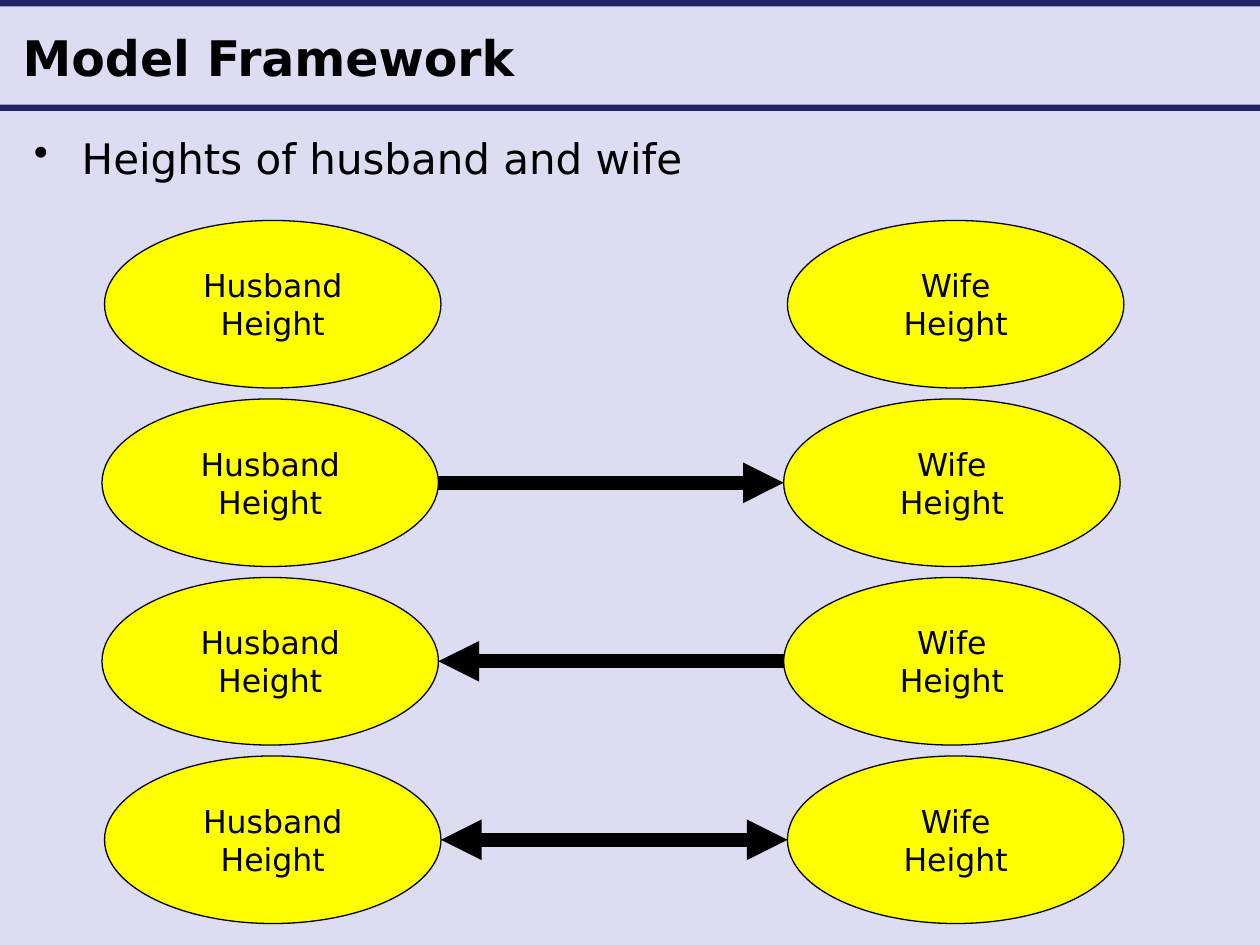
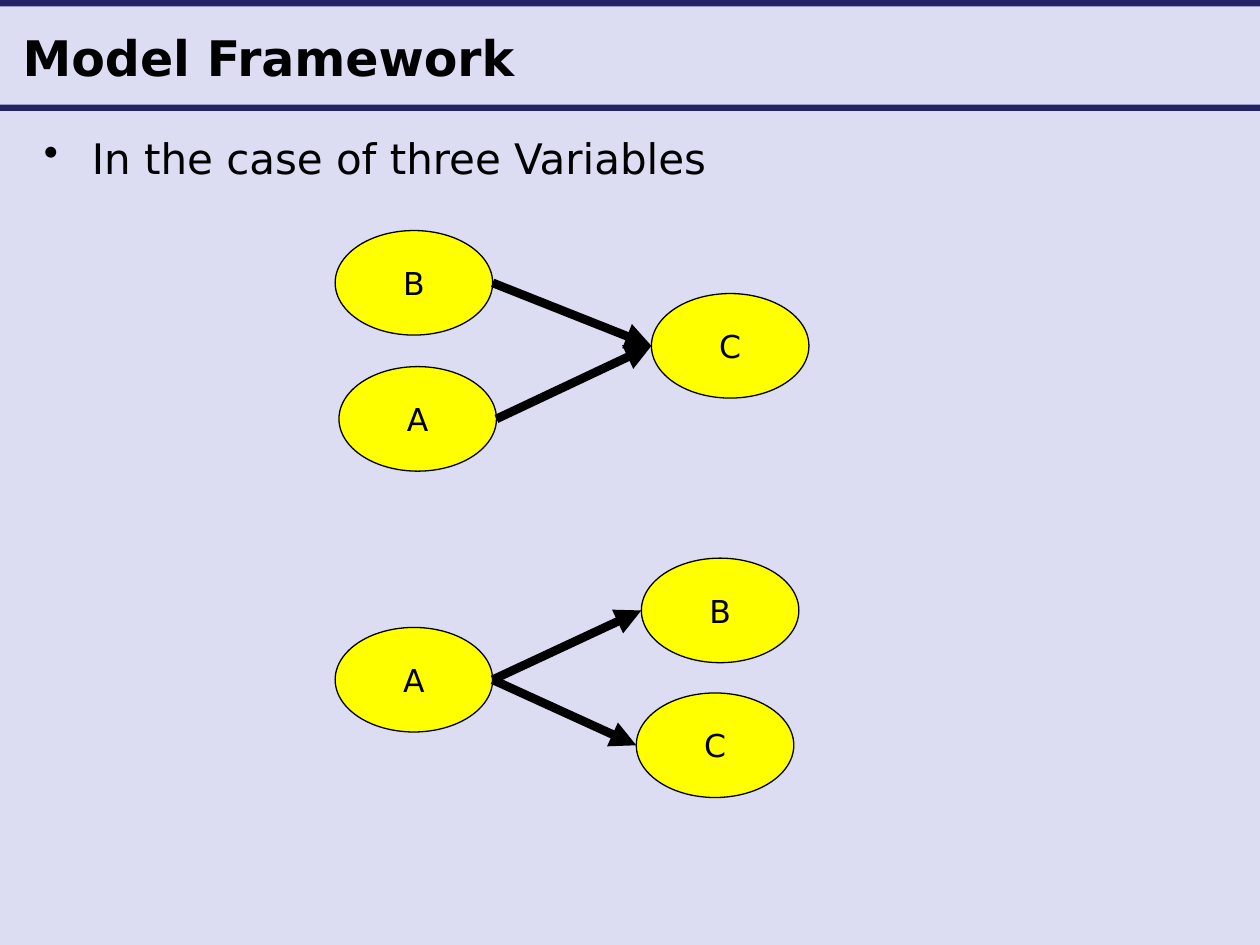
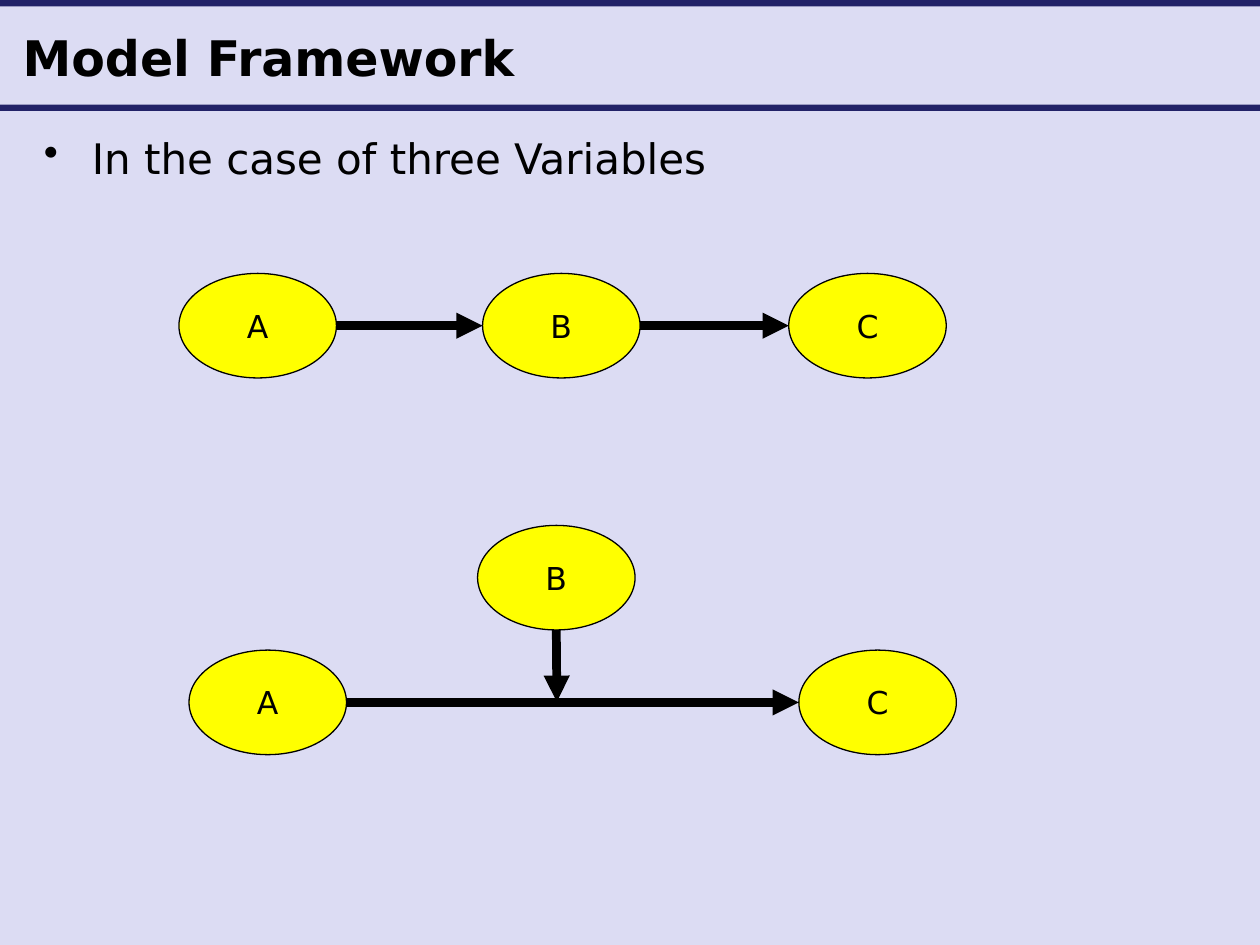
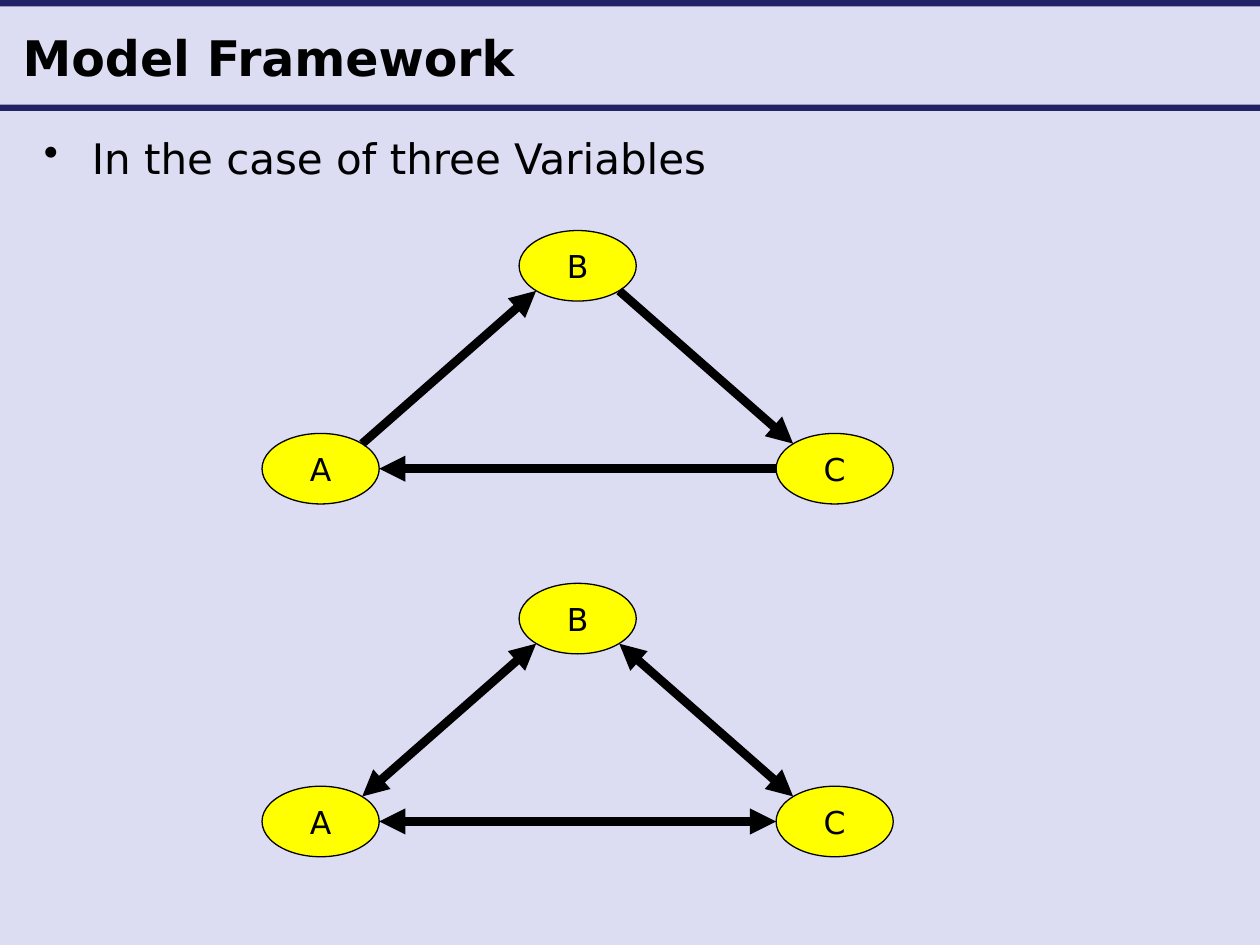
from lxml.etree import SubElement
from pptx import Presentation
from pptx.dml.color import RGBColor
from pptx.enum.shapes import MSO_CONNECTOR as Link, MSO_SHAPE as Form
from pptx.enum.text import MSO_ANCHOR as Anchor, MSO_AUTO_SIZE as Fit, PP_ALIGN as Align
from pptx.oxml.ns import qn
from pptx.util import Inches, Pt

FONT = "DejaVu Sans"
BACK, NAVY, YELLOW, BLACK = "DCDCF3", "222267", "FFFF00", "000000"
TITLE = "Model Framework"
BANDS = [0.83, 0]
THREE = "In the case of three Variables"

# Unit offsets from an ellipse's centre to its joining points
SITES = {"n": (0, -1), "e": (1, 0), "s": (0, 1), "w": (-1, 0),
         "ne": (0.71, -0.71), "se": (0.71, 0.71),
         "sw": (-0.71, 0.71), "nw": (-0.71, -0.71)}

MAN, WIFE = "Husband\u0020Height", "Wife\nHeight"
MAN, WIFE = "Husband Height", "Wife\nHeight"


def pair(row, left, right, heads):
    """One husband-and-wife row; heads is empty when nothing joins them."""
    top = 1.75 + row * 4.25 / 3
    links = [((MAN, "e"), heads, (WIFE, "w"))] if heads else []
    return {MAN: (left, top), WIFE: (right, top)}, links


def ring(top, heads, base):
    """A triangle of A, B and C with B at the top."""
    nodes = {"A": (2.08, top + 1.61), "B": (4.12, top), "C": (6.16, top + 1.61)}
    return nodes, [(("A", "ne"), heads, ("B", "sw")),
                   (("B", "se"), heads, ("C", "nw")),
                   (("C", "w"), base, ("A", "e"))]


SLIDES = [
    {"text": "Heights of husband and wife", "left": 0.17, "size": (2.67, 1.33),
     "width": 7.75, "group": True,
     "parts": [pair(0, 0.83, 6.25, ""), pair(1, 0.81, 6.22, ">"),
               pair(2, 0.81, 6.22, "<"), pair(3, 0.83, 6.25, "<>")]},
    {"text": THREE, "left": 0.25, "size": (1.25, 0.83), "width": 5, "group": False,
     "parts": [
         ({"A": (2.69, 2.91), "B": (2.66, 1.83), "C": (5.17, 2.33)},
          [(("A", "e"), ">", ("C", "w")), (("B", "e"), ">", ("C", "w"))]),
         ({"A": (2.66, 4.98), "B": (5.09, 4.43), "C": (5.05, 5.5)},
          [(("A", "e"), ">", ("C", "w")), (("A", "e"), ">", ("B", "w"))])]},
    {"text": THREE, "left": 0.25, "size": (1.25, 0.83), "width": 5, "group": False,
     "parts": [
         ({"A": (1.42, 2.17), "B": (3.83, 2.17), "C": (6.26, 2.17)},
          [(("A", "e"), ">", ("B", "w")), (("B", "e"), ">", ("C", "w"))]),
         ({"A": (1.5, 5.16), "B": (3.79, 4.17), "C": (6.34, 5.16)},
          [(("A", "e"), ">", ("C", "w")), (("B", "s"), ">", (4.42, 5.57))])]},
    {"text": THREE, "left": 0.25, "size": (0.93, 0.56), "width": 5, "group": True,
     "parts": [ring(1.83, ">", ">"), ring(4.63, "<>", "<>")]},
]


def color(text):
    return RGBColor.from_string(text)


def box(*sizes):
    return [Inches(size) for size in sizes]


def paint(fill, tone):
    fill.solid()
    fill.fore_color.rgb = color(tone)


def style(frame, size, align, bold=False):
    frame.word_wrap = True
    frame.auto_size = Fit.NONE
    for para in frame.paragraphs:
        para.alignment = align
        for run in para.runs:
            font = run.font
            font.name, font.size, font.bold = FONT, Pt(size), bold
            font.color.rgb = color(BLACK)


def add_bands(slide, layout):
    """Draw the bands, then move them to the layout, behind its placeholders."""
    for num, top in enumerate(BANDS):
        band = slide.shapes.add_shape(Form.RECTANGLE, *box(0, top, 10, 0.05))
        band.shadow.inherit = False
        paint(band.fill, NAVY)
        band.line.fill.background()
        band.element.nvSpPr.cNvPr.set("id", str(20 + num))
        layout.shapes.element.insert(2 + num, band.element)


def add_title(slide):
    title = slide.shapes.title
    title.left, title.top, title.width, title.height = box(0.08, 0.08, 9.58, 0.75)
    frame = title.text_frame
    frame.text = TITLE
    frame.vertical_anchor = Anchor.MIDDLE
    style(frame, 28, Align.LEFT, True)


def add_bullet(slide, text, left):
    frame = slide.shapes.add_textbox(*box(left, 1, 9.58, 0.66)).text_frame
    frame.text = text
    frame.margin_right = 0
    style(frame, 24, Align.LEFT)
    para = frame.paragraphs[0]
    para.space_before = Pt(5)
    props = para._p.get_or_add_pPr()
    props.set("marL", str(Inches(0.38)))
    props.set("indent", str(-Inches(0.38)))
    SubElement(props, qn("a:buChar")).set("char", "•")


def add_node(shapes, text, spot, size):
    node = shapes.add_shape(Form.OVAL, *box(*spot, *size))
    node.shadow.inherit = False
    paint(node.fill, YELLOW)
    node.line.color.rgb = color(BLACK)
    node.line.width = Pt(0.75)
    frame = node.text_frame
    frame.text = text
    frame.vertical_anchor = Anchor.MIDDLE
    style(frame, 18, Align.CENTER)


def find(end, nodes, size):
    """Turn (node, site) into a point; a plain point stays as it is."""
    name, site = end
    if name not in nodes:
        return end
    return [at + span / 2 * (1 + off)
            for at, span, off in zip(nodes[name], size, SITES[site])]


def add_arrow(shapes, start, stop, heads, width):
    arrow = shapes.add_connector(Link.STRAIGHT, *box(*start, *stop))
    arrow.line.color.rgb = color(BLACK)
    arrow.line.width = Pt(width)
    props = arrow.element.spPr
    for sign, tag in (("<", "a:headEnd"), (">", "a:tailEnd")):
        if sign in heads:
            SubElement(props.find(qn("a:ln")), qn(tag)).set("type", "triangle")
    SubElement(props, qn("a:effectLst"))


def add_part(slide, part, page):
    nodes, links = part
    size = page["size"]
    shapes = slide.shapes
    if page["group"]:
        shapes = shapes.add_group_shape().shapes
    for name, spot in nodes.items():
        add_node(shapes, name, spot, size)
    for start, heads, stop in links:
        add_arrow(shapes, find(start, nodes, size), find(stop, nodes, size),
                  heads, page["width"])


def main():
    deck = Presentation()
    deck.slide_width, deck.slide_height = box(10, 7.5)
    paint(deck.slide_master.background.fill, BACK)
    layout = deck.slide_layouts[5]
    for num, page in enumerate(SLIDES):
        slide = deck.slides.add_slide(layout)
        if num == 0:
            add_bands(slide, layout)
        add_title(slide)
        add_bullet(slide, page["text"], page["left"])
        for part in page["parts"]:
            add_part(slide, part, page)
    deck.save("out.pptx")


if __name__ == "__main__":
    main()
